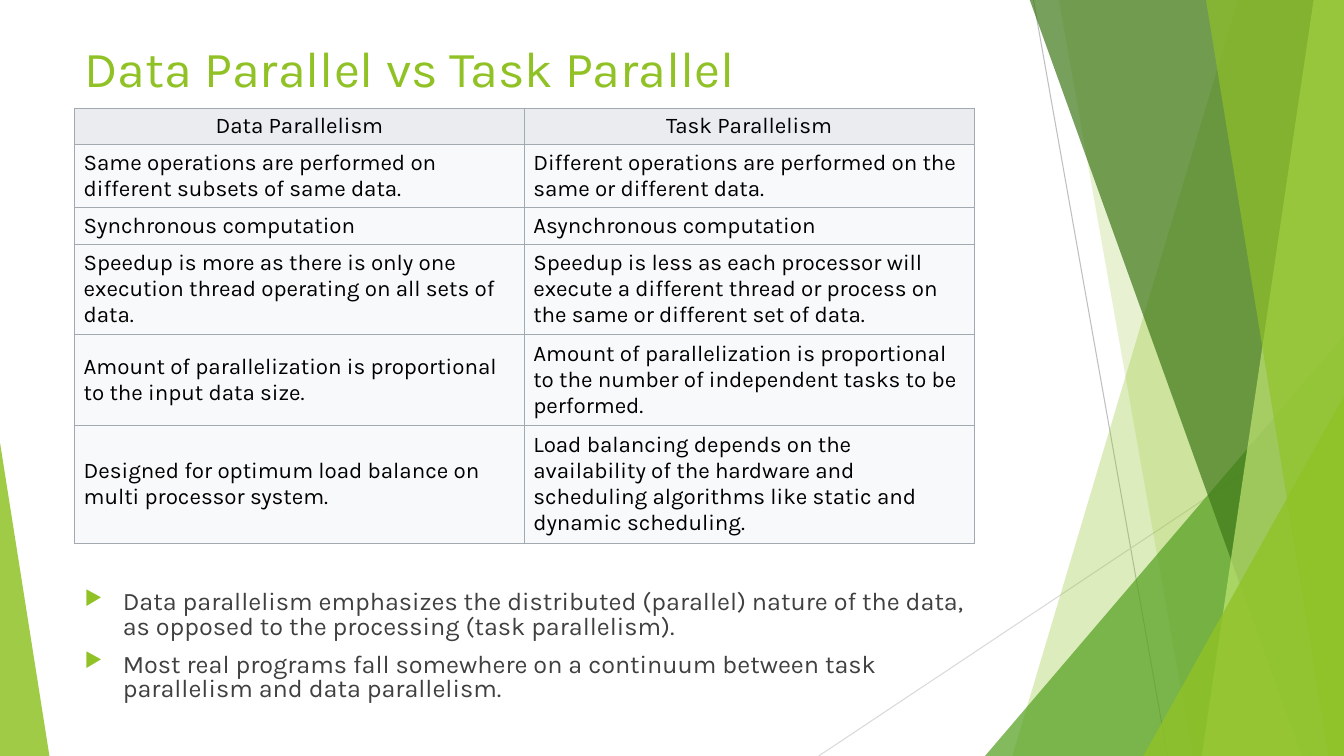
from lxml.etree import SubElement
from pptx import Presentation
from pptx.dml.color import RGBColor
from pptx.enum.shapes import MSO_CONNECTOR as Connector, MSO_SHAPE as Shape
from pptx.enum.text import MSO_ANCHOR as Anchor, PP_ALIGN as Align
from pptx.oxml.ns import qn
from pptx.util import Inches, Pt

WIDTH, HEIGHT = 13.33, 7.5
LEFT, TABLE_WIDTH = 0.74, 8.92
FONT, LIME = "Karla", "90C226"

LINES = [
    (10.25, 0, 11.58, 7.5, "BFBFBF"),
    (13.33, 4.03, 8.12, 7.5, "D9D9D9"),
]
BACK_SHARDS = [(12.28, 10.04, LIME, 30), (10.5, 11.83, LIME, 20)]
FRONT_SHARDS = [
    (10.21, 12.91, "3F7819", 70),
    (13.03, 11.92, "C0E474", 70),
    (11.96, 13.18, LIME, 65),
]
ROW_HEIGHTS = [0.36, 0.63, 0.36, 0.9, 0.9, 1.17]
ROWS = [
    ("Data Parallelism", "Task Parallelism"),
    ("Same operations are performed on different subsets of same data.",
     "Different operations are performed on the same or different data."),
    ("Synchronous computation", "Asynchronous computation"),
    ("Speedup is more as there is only one execution thread operating on all sets of data.",
     "Speedup is less as each processor will execute a different thread or process "
     "on the same or different set of data."),
    ("Amount of parallelization is proportional to the input data size.",
     "Amount of parallelization is proportional to the number of independent tasks "
     "to be performed."),
    ("Designed for optimum load balance on multi processor system.",
     "Load balancing depends on the availability of the hardware and scheduling "
     "algorithms like static and dynamic scheduling."),
]
BULLETS = [
    "Data parallelism emphasizes the distributed (parallel) nature of the data, "
    "as opposed to the processing (task parallelism).",
    "Most real programs fall somewhere on a continuum between task parallelism "
    "and data parallelism.",
]


def paint(fill, color, opacity=100):
    """Fill with a hex colour at an opacity in percent."""
    fill.solid()
    fill.fore_color.rgb = RGBColor.from_string(color)
    if opacity < 100:
        color_node = fill._xPr.find(qn("a:solidFill"))[0]
        SubElement(color_node, qn("a:alpha"), val=str(opacity * 1000))


def write(para, text, size, color, align=Align.LEFT, spacing=None, before=0):
    """Write one formatted run into a paragraph."""
    para.alignment = align
    para.line_spacing = spacing
    para.space_before = Pt(before)
    span = para.add_run()
    span.text = text
    span.font.name = FONT
    span.font.size = Pt(size)
    paint(span.font.fill, color)


def finish(shape, color, opacity):
    """Give a decoration its flat fill."""
    shape.shadow.inherit = False
    shape.line.fill.background()
    paint(shape.fill, color, opacity)


def add_line(page, x1, y1, x2, y2, color):
    """Draw a thin straight line."""
    line = page.shapes.add_connector(
        Connector.STRAIGHT, Inches(x1), Inches(y1), Inches(x2), Inches(y2))
    line.line.width = Pt(0.75)
    paint(line.line.fill, color)
    SubElement(line._element.spPr, qn("a:effectLst"))


def add_shard(page, top_x, bottom_x, color, opacity):
    """Draw a full-height shard that ends at the right edge."""
    top = Inches(-0.01)
    right, bottom = Inches(WIDTH), Inches(HEIGHT)
    builder = page.shapes.build_freeform(Inches(top_x), top)
    builder.add_line_segments([(right, top), (right, bottom), (Inches(bottom_x), bottom)])
    finish(builder.convert_to_shape(), color, opacity)


def add_triangle(page, left, top, width, apex, color, opacity):
    """Draw a triangle that stands on the bottom edge."""
    shape = page.shapes.add_shape(
        Shape.ISOSCELES_TRIANGLE, Inches(left), Inches(top), Inches(width), Inches(HEIGHT - top))
    shape.adjustments[0] = apex
    finish(shape, color, opacity)


def add_title(page, text):
    """Move and format the title placeholder."""
    title = page.shapes.title
    title.left, title.top = Inches(LEFT), Inches(0.27)
    title.width, title.height = Inches(9.4), Inches(0.87)
    title.text_frame.vertical_anchor = Anchor.MIDDLE
    write(title.text_frame.paragraphs[0], text, 36, LIME, spacing=0.9)


def add_borders(cell, color, width):
    """Draw all four borders of a cell."""
    properties = cell._tc.get_or_add_tcPr()
    for side in ("lnL", "lnR", "lnT", "lnB"):
        border = SubElement(properties, qn(f"a:{side}"), w=str(Pt(width)))
        solid = SubElement(border, qn("a:solidFill"))
        SubElement(solid, qn("a:srgbClr"), val=color)


def add_comparison(page):
    """Build the two-column comparison table."""
    table = page.shapes.add_table(
        len(ROWS), 2, Inches(LEFT), Inches(1.07),
        Inches(TABLE_WIDTH), Inches(sum(ROW_HEIGHTS))).table
    table.horz_banding = False
    for index, (row, height, texts) in enumerate(zip(table.rows, ROW_HEIGHTS, ROWS)):
        row.height = Inches(height)
        for cell, text in zip(row.cells, texts):
            cell.vertical_anchor = Anchor.MIDDLE
            cell.margin_left = cell.margin_right = Inches(0.09)
            cell.margin_top = cell.margin_bottom = Inches(0.04)
            add_borders(cell, "A2A9B1", 0.6)
            paint(cell.fill, "F8F9FA" if index else "EAECF0")
            write(cell.text_frame.paragraphs[0], text, 16, "000000",
                  align=Align.LEFT if index else Align.CENTER)


def add_bullet(para):
    """Give a paragraph a hanging triangle bullet."""
    properties = para._p.get_or_add_pPr()
    properties.set("marL", str(Inches(0.38)))
    properties.set("indent", str(Inches(-0.38)))
    color = SubElement(properties, qn("a:buClr"))
    SubElement(color, qn("a:srgbClr"), val=LIME)
    SubElement(properties, qn("a:buSzPct"), val="80000")
    SubElement(properties, qn("a:buChar"), char="▶")


def add_bullets(page):
    """Write the bulleted remarks below the table."""
    box = page.shapes.add_textbox(
        Inches(LEFT), Inches(5.82), Inches(TABLE_WIDTH), Inches(1.29))
    frame = box.text_frame
    frame.word_wrap = True
    for index, text in enumerate(BULLETS):
        para = frame.add_paragraph() if index else frame.paragraphs[0]
        write(para, text, 18, "404040", spacing=0.8, before=10)
        add_bullet(para)


def main():
    """Build and save the slide."""
    deck = Presentation()
    deck.slide_width, deck.slide_height = Inches(WIDTH), Inches(HEIGHT)
    page = deck.slides.add_slide(deck.slide_layouts.get_by_name("Title Only"))
    for line in LINES:
        add_line(page, *line)
    for shard in BACK_SHARDS:
        add_shard(page, *shard)
    add_triangle(page, 9.77, 3.33, 3.56, 1, "54A021", 72)
    for shard in FRONT_SHARDS:
        add_shard(page, *shard)
    add_triangle(page, 11.34, 3.93, 1.99, 1, LIME, 80)
    add_triangle(page, 0, 4.39, 0.49, 0, LIME, 85)
    add_title(page, "Data Parallel vs Task Parallel")
    add_comparison(page)
    add_bullets(page)
    deck.save("out.pptx")


if __name__ == "__main__":
    main()
